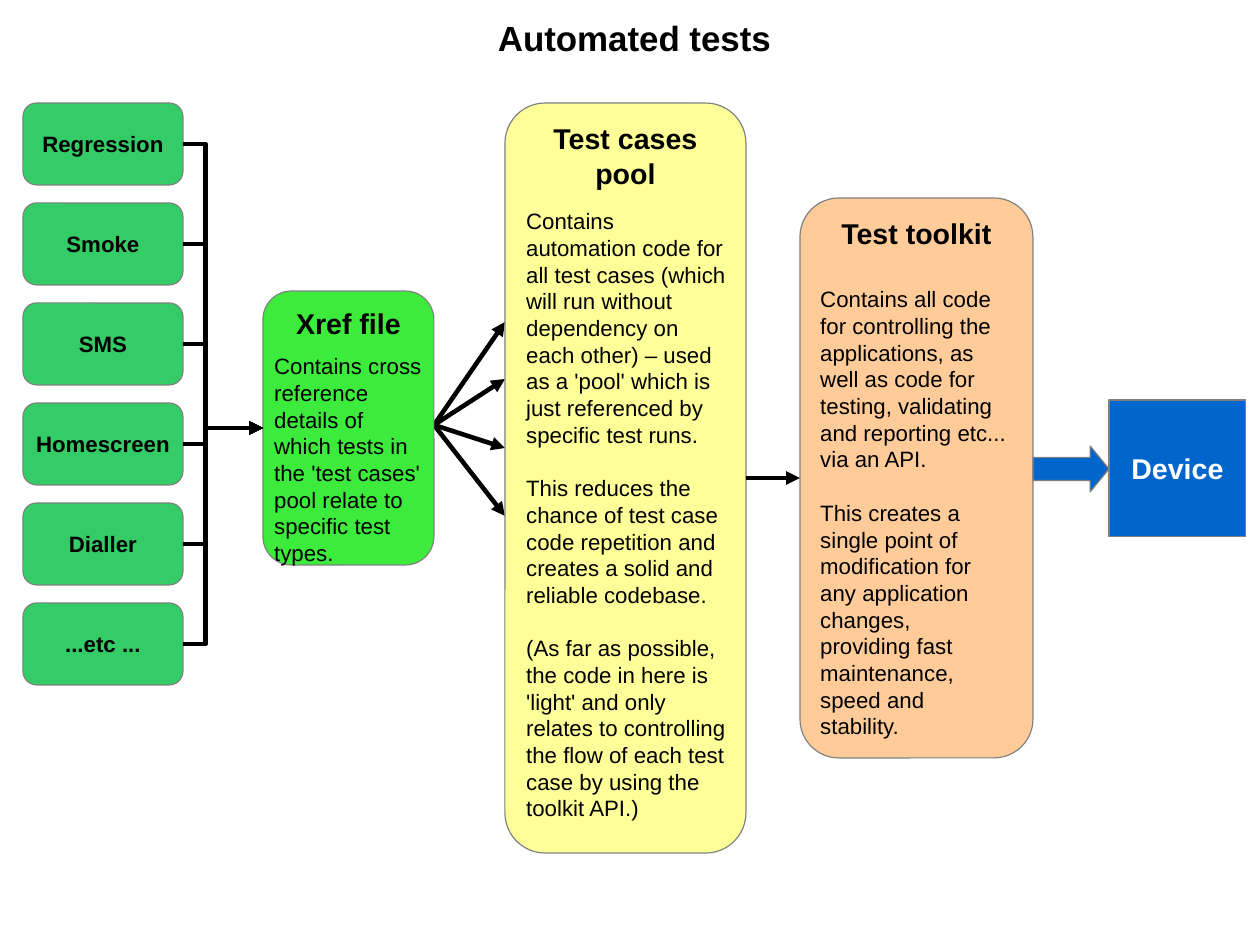
from dataclasses import dataclass

from lxml import etree
from pptx import Presentation
from pptx.dml.color import RGBColor
from pptx.enum.shapes import MSO_CONNECTOR, MSO_SHAPE
from pptx.enum.text import MSO_ANCHOR, PP_ALIGN
from pptx.oxml.ns import qn
from pptx.shapes.autoshape import Shape
from pptx.shapes.connector import Connector
from pptx.slide import Slide
from pptx.util import Emu, Pt

ROUNDED, RECTANGLE, RIGHT_ARROW = (
    MSO_SHAPE.ROUNDED_RECTANGLE, MSO_SHAPE.RECTANGLE, MSO_SHAPE.RIGHT_ARROW)
STRAIGHT, ELBOW = MSO_CONNECTOR.STRAIGHT, MSO_CONNECTOR.ELBOW
TOP, MIDDLE = MSO_ANCHOR.TOP, MSO_ANCHOR.MIDDLE
LEFT, CENTER = PP_ALIGN.LEFT, PP_ALIGN.CENTER
LEFT_SIDE, RIGHT_SIDE = 1, 3
EMU_PER_PX = 8000
PAGE_WIDTH, PAGE_HEIGHT = 1260, 945


@dataclass(frozen=True)
class Theme:
    font: str = "Arial"
    ink: str = "000000"
    white: str = "FFFFFF"
    outline: str = "808080"
    suite: str = "33CC66"
    xref: str = "3DEB3D"
    pool: str = "FFFF99"
    toolkit: str = "FFCC99"
    device: str = "0066CC"
    title_size: float = 22
    heading_size: float = 18
    body_size: float = 14
    connector_width: float = 2.89


THEME = Theme()


@dataclass(frozen=True)
class Area:
    left: int
    top: int
    width: int
    height: int

    @property
    def right(self) -> int:
        return self.left + self.width

    @property
    def middle(self) -> int:
        return self.top + self.height // 2

    def emu(self) -> list[Emu]:
        return [px(n) for n in (self.left, self.top, self.width, self.height)]


@dataclass(frozen=True)
class TextStyle:
    size: float
    bold: bool = True
    color: str = THEME.ink
    align: PP_ALIGN = CENTER
    anchor: MSO_ANCHOR = TOP
    wrap: bool = False
    line_pitch: float | None = None
    gap: float = 0


@dataclass(frozen=True)
class Panel:
    area: Area
    fill: str
    heading: list[str]
    body_area: Area
    body: list[str]


TITLE = TextStyle(THEME.title_size)
HEADING = TextStyle(THEME.heading_size, line_pitch=22)
BODY = TextStyle(THEME.body_size, bold=False, align=LEFT, wrap=True, line_pitch=16.8, gap=16.8)
SUITE = TextStyle(THEME.body_size, anchor=MIDDLE)
DEVICE = TextStyle(THEME.heading_size, color=THEME.white, anchor=MIDDLE)

SUITES = ["Regression", "Smoke", "SMS", "Homescreen", "Dialler", "...etc ..."]
SUITE_TOP, SUITE_PITCH = 103, 100
BEND_SHARE = 28200

XREF = Panel(
    Area(263, 291, 171, 274), THEME.xref, ["Xref file"], Area(263, 347, 171, 211),
    ["Contains cross reference details of which tests in the 'test cases' pool "
     "relate to specific test types."])
POOL = Panel(
    Area(505, 103, 241, 750), THEME.pool, ["Test cases", "pool"], Area(515, 202, 223, 636),
    ["Contains automation code for all test cases (which will run without dependency "
     "on each other) – used as a 'pool' which is just referenced by specific test runs.",
     "This reduces the chance of test case code repetition and creates a solid and "
     "reliable codebase.",
     "(As far as possible, the code in here is 'light' and only relates to controlling "
     "the flow of each test case by using the toolkit API.)"])
TOOLKIT = Panel(
    Area(800, 198, 233, 560), THEME.toolkit, ["Test toolkit"], Area(809, 280, 209, 435),
    ["Contains all code for controlling the applications, as well as code for testing, "
     "validating and reporting etc... via an API.",
     "This creates a single point of modification for any application changes, "
     "providing fast maintenance, speed and stability."])
FAN_START = (434, 425)
FAN_ENDS = [322, 379, 448, 516]


def px(length: int) -> Emu:
    return Emu(length * EMU_PER_PX)


def write_text(box: Shape, lines: list[str], style: TextStyle) -> None:
    frame = box.text_frame
    frame.word_wrap = style.wrap
    frame.vertical_anchor = style.anchor
    para_format = {"alignment": style.align}
    if style.line_pitch:
        para_format["line_spacing"] = Pt(style.line_pitch)
    font_format = {"name": THEME.font, "size": Pt(style.size), "bold": style.bold}
    for index, line in enumerate(lines):
        para = frame.add_paragraph() if index else frame.paragraphs[0]
        for name, value in para_format.items():
            setattr(para, name, value)
        if index < len(lines) - 1:
            para.space_after = Pt(style.gap)
        span = para.add_run()
        span.text = line
        for name, value in font_format.items():
            setattr(span.font, name, value)
        span.font.color.rgb = RGBColor.from_string(style.color)


def add_block(page: Slide, kind: MSO_SHAPE, area: Area, fill: str) -> Shape:
    block = page.shapes.add_shape(kind, *area.emu())
    block.shadow.inherit = False
    block.fill.solid()
    block.fill.fore_color.rgb = RGBColor.from_string(fill)
    block.line.color.rgb = RGBColor.from_string(THEME.outline)
    block.line.width = Pt(0)
    return block


def add_text(page: Slide, area: Area, lines: list[str], style: TextStyle) -> None:
    write_text(page.shapes.add_textbox(*area.emu()), lines, style)


def add_panel(page: Slide, panel: Panel) -> Shape:
    block = add_block(page, ROUNDED, panel.area, panel.fill)
    write_text(block, panel.heading, HEADING)
    add_text(page, panel.body_area, panel.body, BODY)
    return block


def add_arrow(page: Slide, kind: MSO_CONNECTOR, start: tuple[int, int],
              end: tuple[int, int]) -> Connector:
    arrow = page.shapes.add_connector(kind, *(px(n) for n in start + end))
    arrow.line.color.rgb = RGBColor.from_string(THEME.ink)
    arrow.line.width = Pt(THEME.connector_width)
    properties = arrow._element.spPr
    etree.SubElement(properties.find(qn("a:ln")), qn("a:tailEnd"), type="triangle")
    etree.SubElement(properties, qn("a:effectLst"))
    if kind == ELBOW:
        guides = properties.find(qn("a:prstGeom")).get_or_add_avLst()
        etree.SubElement(guides, qn("a:gd"), name="adj1", fmla=f"val {BEND_SHARE}")
    return arrow


def main() -> None:
    deck = Presentation()
    deck.slide_width, deck.slide_height = px(PAGE_WIDTH), px(PAGE_HEIGHT)
    page = deck.slides.add_slide(deck.slide_layouts[6])

    add_text(page, Area(23, 11, 1223, 903), ["Automated tests"], TITLE)
    for end_y in FAN_ENDS:
        add_arrow(page, STRAIGHT, FAN_START, (POOL.area.left, end_y))

    xref, pool, toolkit = (add_panel(page, panel) for panel in (XREF, POOL, TOOLKIT))

    for index, name in enumerate(SUITES):
        area = Area(23, SUITE_TOP + index * SUITE_PITCH, 160, 82)
        write_text(add_block(page, ROUNDED, area, THEME.suite), [name], SUITE)
        add_arrow(page, ELBOW, (area.right, area.middle), (XREF.area.left, XREF.area.middle))

    link = add_arrow(page, STRAIGHT, (POOL.area.right, POOL.area.middle),
                     (TOOLKIT.area.left, TOOLKIT.area.middle))
    link.begin_connect(pool, RIGHT_SIDE)
    link.end_connect(toolkit, LEFT_SIDE)

    device = add_block(page, RECTANGLE, Area(1109, 400, 137, 137), THEME.device)
    write_text(device, ["Device"], DEVICE)
    to_device = add_block(page, RIGHT_ARROW, Area(1033, 446, 76, 46), THEME.device)
    to_device.adjustments[1] = 0.41

    deck.save("out.pptx")


if __name__ == "__main__":
    main()
